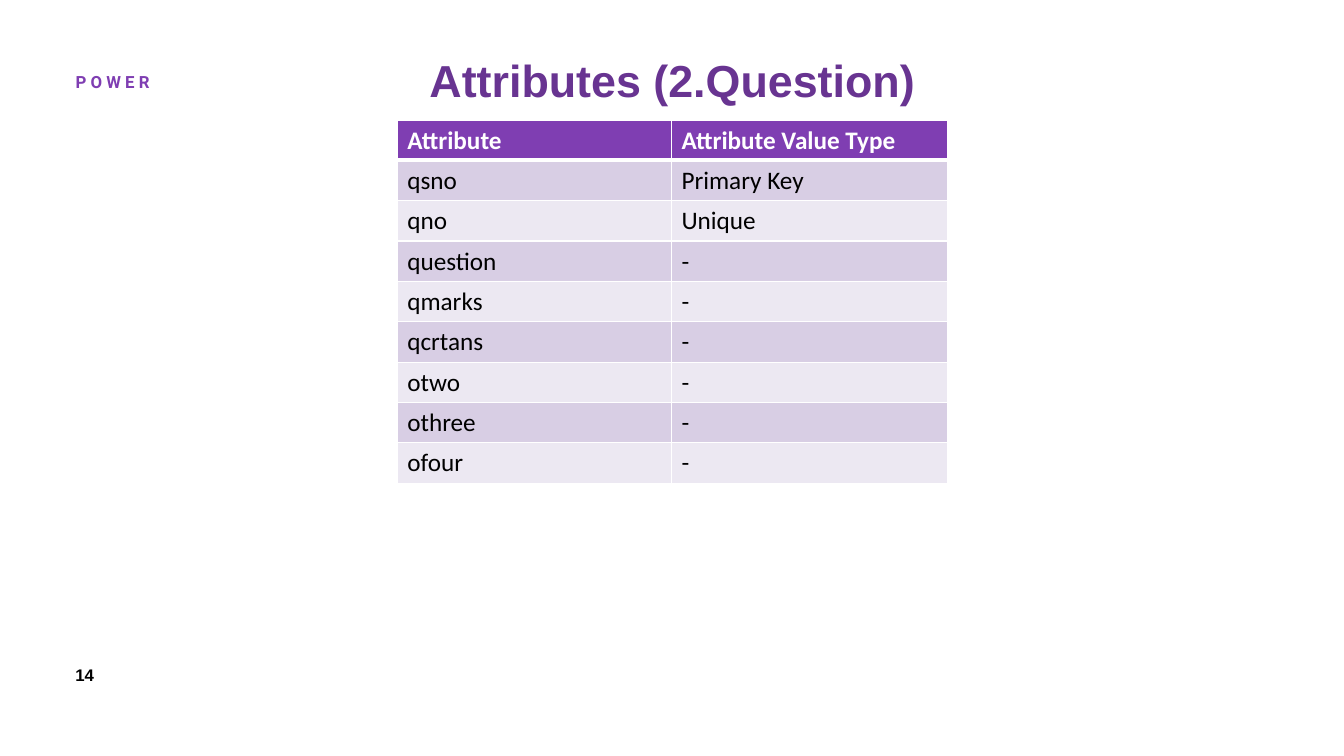
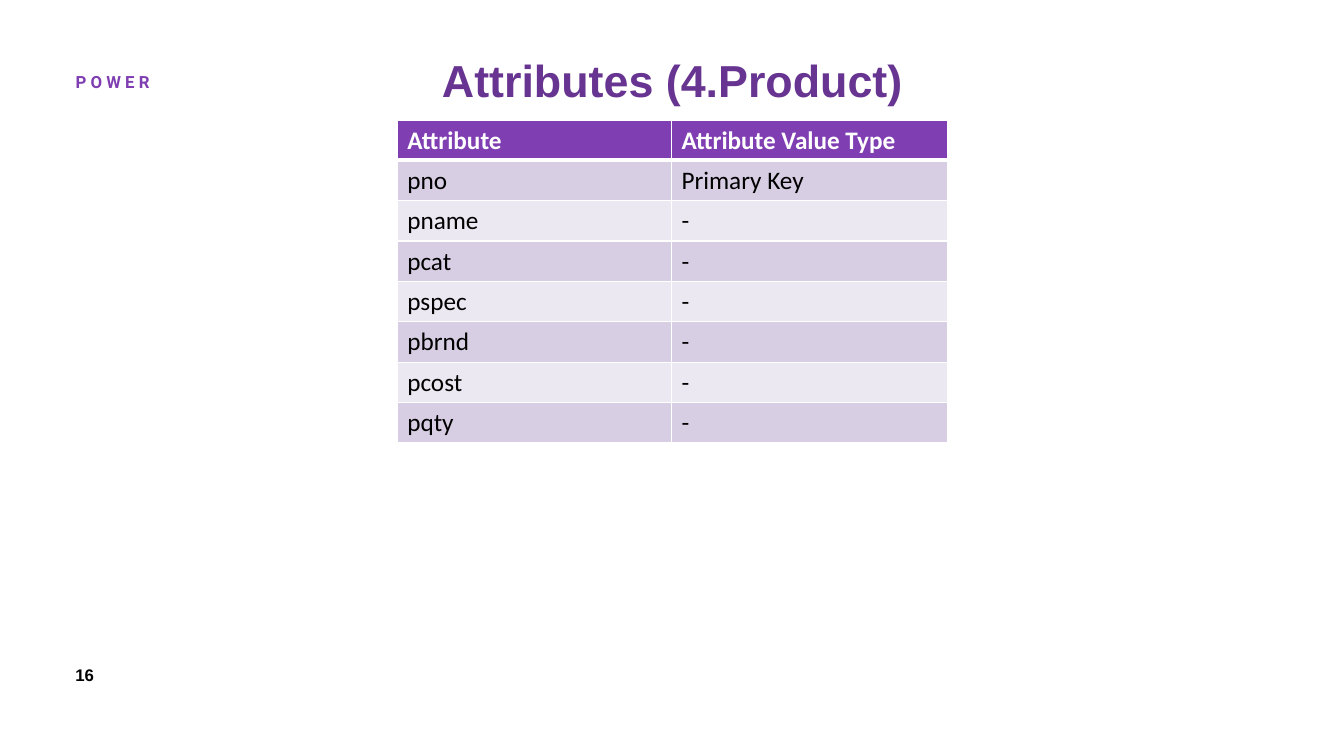
import pptx
import pptx.util
import pptx.oxml
import pptx.oxml.ns
from pptx.dml.color import RGBColor
from pptx.enum.text import MSO_ANCHOR, PP_ALIGN
from pptx.util import Inches

PURPLE = RGBColor(0x7F, 0x3E, 0xB2)
TITLE_PURPLE = RGBColor(0x68, 0x34, 0x91)
BAND_DARK = RGBColor(0xD8, 0xCE, 0xE4)
BAND_LIGHT = RGBColor(0xEC, 0xE8, 0xF2)
WHITE = RGBColor(0xFF, 0xFF, 0xFF)
BLACK = RGBColor(0x00, 0x00, 0x00)

TITLE_ONLY_LAYOUT = 5
HEADER = ("Attribute", "Attribute Value Type")
COLUMN_WIDTHS = (2.72, 2.74)
ROW_HEIGHT = 0.4

# Slide number, title, and table rows below the header
SLIDES = [
    (14, "Attributes (2.Question)", [
        ("qsno", "Primary Key"), ("qno", "Unique"), ("question", "-"),
        ("qmarks", "-"), ("qcrtans", "-"), ("otwo", "-"),
        ("othree", "-"), ("ofour", "-")]),
    (16, "Attributes (4.Product)", [
        ("pno", "Primary Key"), ("pname", "-"), ("pcat", "-"),
        ("pspec", "-"), ("pbrnd", "-"), ("pcost", "-"), ("pqty", "-")]),
]


def write_text(text_frame, text, *, size, font, color, bold=False,
               align=PP_ALIGN.LEFT, line_spacing=None, tracking=None):
    """Write one paragraph; tracking is the letter spacing in points."""
    paragraph = text_frame.paragraphs[0]
    paragraph.alignment = align
    paragraph.line_spacing = line_spacing
    run = paragraph.add_run()
    run.text = text
    run.font.size = pptx.util.Pt(size)
    run.font.name = font
    run.font.bold = bold
    run.font.color.rgb = color
    if tracking:
        run._r.get_or_add_rPr().set("spc", str(tracking * 100))


def add_label(slide, text, left, top, width, *, side_inset=0.1, **text_format):
    box = slide.shapes.add_textbox(
        Inches(left), Inches(top), Inches(width), Inches(0.3))
    text_frame = box.text_frame
    text_frame.word_wrap = False
    text_frame.margin_left = text_frame.margin_right = Inches(side_inset)
    write_text(text_frame, text, size=12, bold=True, **text_format)


def set_title(slide, text):
    title = slide.shapes.title
    title.left, title.top = Inches(1.96), Inches(0.53)
    title.width, title.height = Inches(9.42), Inches(0.5)
    text_frame = title.text_frame
    text_frame.margin_left = text_frame.margin_right = 0
    text_frame.vertical_anchor = MSO_ANCHOR.TOP
    write_text(text_frame, text, size=32, font="Arial", color=TITLE_PURPLE,
               bold=True, align=PP_ALIGN.CENTER, line_spacing=0.9)


def set_borders(cell, **widths):
    """Draw white borders; keys are L, R, T and B, values are points."""
    properties = cell._tc.get_or_add_tcPr()
    for side, width in widths.items():
        properties.append(pptx.oxml.parse_xml(
            f'<a:ln{side} {pptx.oxml.ns.nsdecls("a")} w="{pptx.util.Pt(width)}">'
            f'<a:solidFill><a:srgbClr val="{WHITE}"/></a:solidFill></a:ln{side}>'))


def add_attribute_table(slide, rows):
    all_rows = [HEADER, *rows]
    table = slide.shapes.add_table(
        len(all_rows), len(HEADER), Inches(3.94), Inches(1.19),
        Inches(sum(COLUMN_WIDTHS)), Inches(ROW_HEIGHT * len(all_rows))).table
    for column, width in zip(table.columns, COLUMN_WIDTHS):
        column.width = Inches(width)
    for row_index, row in enumerate(all_rows):
        is_header = row_index == 0
        band = BAND_DARK if row_index % 2 else BAND_LIGHT
        for column_index, text in enumerate(row):
            cell = table.cell(row_index, column_index)
            set_borders(cell, L=1, R=1, T=3 if row_index == 1 else 1,
                        B=3 if is_header else 1)
            cell.fill.solid()
            cell.fill.fore_color.rgb = PURPLE if is_header else band
            write_text(cell.text_frame, text, size=18, font="Calibri",
                       color=WHITE if is_header else BLACK, bold=is_header)


def add_attribute_slide(presentation, number, title, rows):
    slide = presentation.slides.add_slide(
        presentation.slide_layouts[TITLE_ONLY_LAYOUT])
    add_label(slide, str(number), 0.65, 6.55, 0.4, font="Arial", color=BLACK)
    add_label(slide, "POWER", 0.75, 0.66, 0.77, side_inset=0,
              font="Roboto", color=PURPLE, tracking=3)
    set_title(slide, title)
    add_attribute_table(slide, rows)


def main():
    presentation = pptx.Presentation()
    presentation.slide_width = Inches(13.33)
    presentation.slide_height = Inches(7.5)
    for number, title, rows in SLIDES:
        add_attribute_slide(presentation, number, title, rows)
    presentation.save("out.pptx")


if __name__ == "__main__":
    main()
